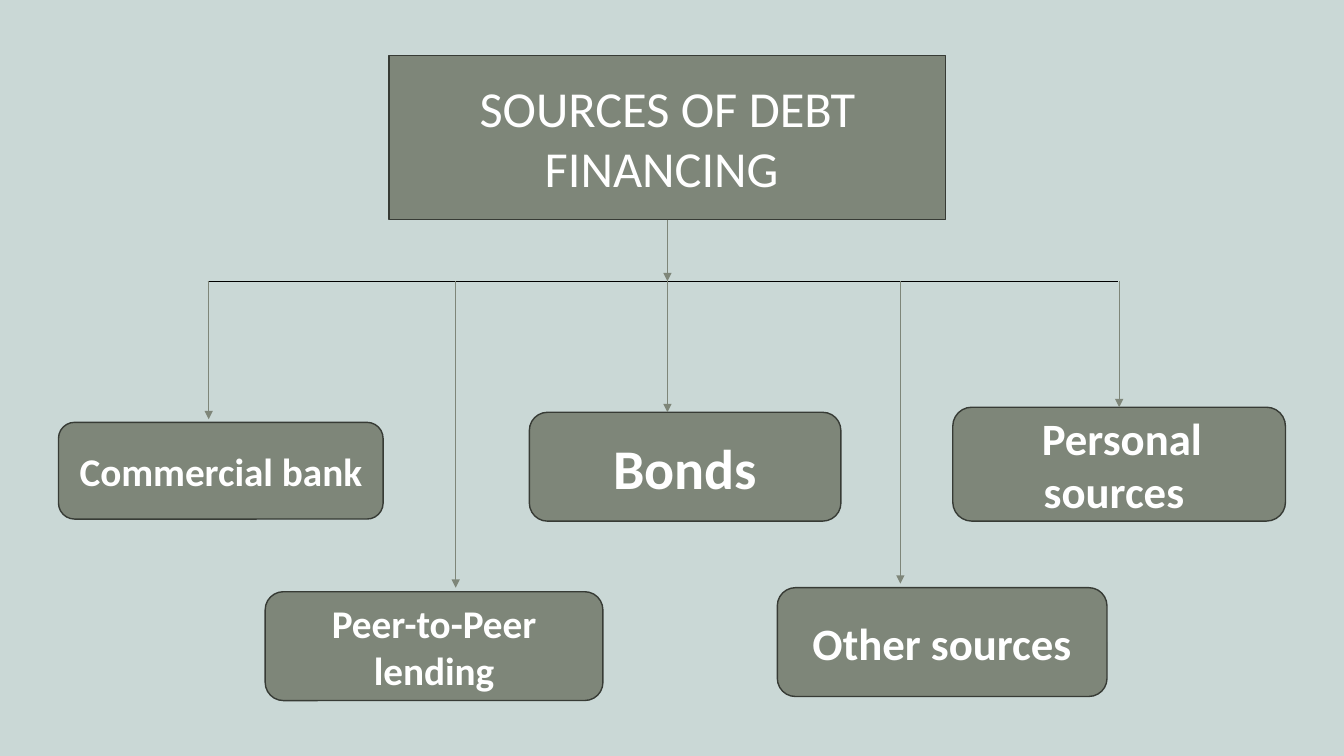
from dataclasses import dataclass
from typing import Optional

from lxml.etree import SubElement
from pptx import Presentation
from pptx.dml.color import RGBColor
from pptx.enum.shapes import MSO_CONNECTOR as Connector, MSO_SHAPE as Preset
from pptx.enum.text import MSO_ANCHOR as Anchor, MSO_AUTO_SIZE as AutoSize, PP_ALIGN as Align
from pptx.oxml.ns import qn
from pptx.shapes.autoshape import Shape
from pptx.slide import Slide
from pptx.util import Inches, Pt

TOP, BOTTOM = 0, 2  # connection sites of a rectangle


@dataclass(frozen=True)
class Theme:
    background: RGBColor = RGBColor(0xCA, 0xD8, 0xD6)
    box: RGBColor = RGBColor(0x7E, 0x86, 0x79)
    outline: RGBColor = RGBColor(0x37, 0x3B, 0x35)
    rail: RGBColor = RGBColor(0, 0, 0)
    text: RGBColor = RGBColor(255, 255, 255)
    font: str = "Calibri"
    title_size: int = 36
    small: int = 28
    medium: int = 32
    large: int = 40
    lead_size: int = 18
    outline_width: float = 1
    line_width: float = 0.5


THEME = Theme()


@dataclass(frozen=True)
class Source:
    label: str
    left: float
    top: float
    width: float
    height: float
    size: int
    arrow_x: float
    arrow_end: float
    lead: str = ""
    joined: bool = False


TITLE = "SOURCES OF DEBT FINANCING "
TITLE_AREA = (3.86, 0.55, 5.52, 1.63)
TRUNK_X, RAIL_Y = 6.62, 2.79
RAIL_LEFT, RAIL_RIGHT = 2.06, 11.09
SOURCES = [
    Source("Commercial bank", 0.58, 4.19, 3.22, 0.96, THEME.small, 2.07, 4.16),
    Source("Peer-to-Peer lending", 2.63, 5.87, 3.35, 1.08, THEME.small, 4.52, 5.83),
    Source("Bonds", 5.25, 4.09, 3.09, 1.08, THEME.large, TRUNK_X, 4.09),
    Source("Other sources", 7.71, 5.83, 3.27, 1.08, THEME.medium, 8.93, 5.79),
    Source("Personal sources ", 9.45, 4.04, 3.3, 1.13, THEME.medium, 11.1, 4.04,
           lead=" ", joined=True),
]


def style_box(box: Shape) -> None:
    box.shadow.inherit = False
    box.fill.solid()
    box.fill.fore_color.rgb = THEME.box
    box.line.color.rgb = THEME.outline
    box.line.width = Pt(THEME.outline_width)
    frame = box.text_frame
    frame.word_wrap = True
    frame.auto_size = AutoSize.NONE
    frame.vertical_anchor = Anchor.MIDDLE
    frame.paragraphs[0].alignment = Align.CENTER


def style_span(span, size: int, bold: bool = False) -> None:
    span.font.name = THEME.font
    span.font.size = Pt(size)
    span.font.bold = bold
    span.font.color.rgb = THEME.text


def add_title(page: Slide) -> Shape:
    title = page.shapes.title
    title.left, title.top, title.width, title.height = map(Inches, TITLE_AREA)
    title.text_frame.text = TITLE
    style_box(title)
    style_span(title.text_frame.paragraphs[0].runs[0], THEME.title_size)
    return title


def add_source(page: Slide, source: Source) -> Shape:
    area = map(Inches, (source.left, source.top, source.width, source.height))
    box = page.shapes.add_shape(Preset.ROUNDED_RECTANGLE, *area)
    style_box(box)
    para = box.text_frame.paragraphs[0]
    para.text = source.lead
    for span in para.runs:
        style_span(span, THEME.lead_size)
    label = para.add_run()
    label.text = source.label
    style_span(label, source.size, bold=True)
    return box


def add_line(page: Slide, start: tuple[float, float], end: tuple[float, float],
             color: RGBColor = THEME.box, arrow: bool = True,
             begin_box: Optional[Shape] = None, end_box: Optional[Shape] = None) -> None:
    """Draw a straight line, joined to the bottom of begin_box and the top of end_box."""
    line = page.shapes.add_connector(Connector.STRAIGHT, *map(Inches, start + end))
    line.line.color.rgb = color
    line.line.width = Pt(THEME.line_width)
    if arrow:
        SubElement(line.line._get_or_add_ln(), qn("a:tailEnd"), type="triangle")
    SubElement(line._element.spPr, qn("a:effectLst"))
    if begin_box is not None:
        line.begin_connect(begin_box, BOTTOM)
    if end_box is not None:
        line.end_connect(end_box, TOP)


def main() -> None:
    deck = Presentation()
    deck.slide_width, deck.slide_height = Inches(13.33), Inches(7.5)
    page = deck.slides.add_slide(deck.slide_layouts.get_by_name("Title Only"))
    page.background.fill.solid()
    page.background.fill.fore_color.rgb = THEME.background

    title = add_title(page)
    boxes = [add_source(page, source) for source in SOURCES]
    title_bottom = TITLE_AREA[1] + TITLE_AREA[3]
    add_line(page, (TRUNK_X, title_bottom), (TRUNK_X, RAIL_Y), begin_box=title)
    add_line(page, (RAIL_LEFT, RAIL_Y), (RAIL_RIGHT, RAIL_Y), THEME.rail, arrow=False)
    for source, box in zip(SOURCES, boxes):
        add_line(page, (source.arrow_x, RAIL_Y), (source.arrow_x, source.arrow_end),
                 end_box=box if source.joined else None)
    deck.save("out.pptx")


if __name__ == "__main__":
    main()
